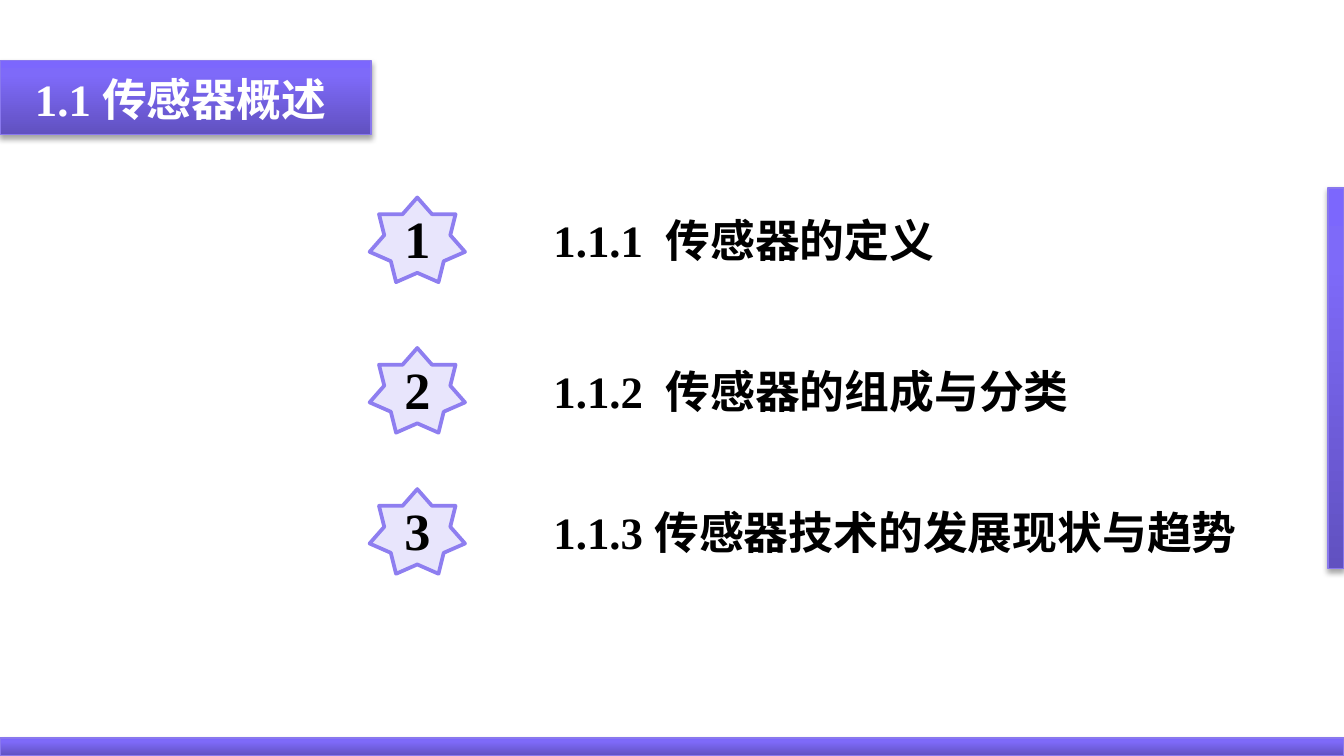
from dataclasses import dataclass

from pptx import Presentation
from pptx.dml.color import RGBColor
from pptx.enum.shapes import MSO_SHAPE as Preset
from pptx.enum.text import MSO_ANCHOR as Anchor, MSO_AUTO_SIZE as AutoSize, PP_ALIGN as Align
from pptx.oxml import parse_xml
from pptx.oxml.ns import nsdecls
from pptx.util import Inches, Pt

COLORS = {
    "dark": "6151C0", "mid": "7E6AF9", "light": "7C67FD", "bar_line": "8978ED",
    "star": "E8E5FC", "star_line": "8E7EF0", "text": "000000", "title": "FFFFFF",
    "shadow": "000000",
}
GRADIENT = {0: "dark", 80: "mid", 100: "light"}
FONT = "Times New Roman"
WIDTH, HEIGHT = Inches(10), Inches(5.625)
COLUMN, ROW = WIDTH / 100, HEIGHT / 100
STAR_LEFT, LABEL_LEFT, LABEL_DROP = 27.5, 40.2, 1.16
LABEL_HEIGHT = 8.89


@dataclass(frozen=True)
class Area:
    left: float
    top: float
    width: float
    height: float

    def emu(self) -> tuple:
        return (round(self.left * COLUMN), round(self.top * ROW),
                round(self.width * COLUMN), round(self.height * ROW))


@dataclass(frozen=True)
class Topic:
    label: str
    top: float
    label_width: float


BOTTOM_BAR = Area(0, 97.6, 100, 2.4)
SIDE_BAR = Area(98.8, 24.89, 1.2, 50.31)
TITLE_BANNER = Area(0, 8, 27.6, 9.78)
TITLE = Area(0.8, 8.53, 25.4, LABEL_HEIGHT)
TOPICS = (
    Topic("1.1.1  传感器的定义", 26.13, 31.6),
    Topic("1.1.2  传感器的组成与分类", 46.04, 40.7),
    Topic("1.1.3 传感器技术的发展现状与趋势", 64.71, 53.3),
)


def rgb(color: str) -> RGBColor:
    return RGBColor.from_string(COLORS[color])


def write(shape, text: str, size: float, color: str, align: Align, anchor: Anchor) -> None:
    frame = shape.text_frame
    frame.text = text
    frame.word_wrap = True
    frame.vertical_anchor = anchor
    paragraph = frame.paragraphs[0]
    paragraph.alignment = align
    font = paragraph.runs[0].font
    font.name, font.size, font.bold = FONT, Pt(size), True
    font.color.rgb = rgb(color)


def add_bar(slide, area: Area) -> None:
    bar = slide.shapes.add_shape(Preset.RECTANGLE, *area.emu())
    bar.line.color.rgb = rgb("bar_line")
    bar.line.width = Pt(0.75)
    stops = "".join(
        f'<a:gs pos="{share * 1000}"><a:srgbClr val="{COLORS[color]}"/></a:gs>'
        for share, color in GRADIENT.items()
    )
    properties = bar.element.spPr
    properties.insert(2, parse_xml(
        f'<a:gradFill {nsdecls("a")} rotWithShape="1"><a:gsLst>{stops}</a:gsLst>'
        '<a:lin ang="16200000" scaled="0"/></a:gradFill>'
    ))
    properties.append(parse_xml(
        f'<a:effectLst {nsdecls("a")}><a:outerShdw blurRad="{Pt(3.1)}" dist="{Pt(1.8)}" '
        f'dir="5400000" rotWithShape="0"><a:srgbClr val="{COLORS["shadow"]}">'
        '<a:alpha val="35000"/></a:srgbClr></a:outerShdw></a:effectLst>'
    ))


def add_topic(slide, number: int, topic: Topic) -> None:
    star = slide.shapes.add_shape(
        Preset.STAR_7_POINT, *Area(STAR_LEFT, topic.top, 7.1, 11.2).emu())
    star.shadow.inherit = False
    star.fill.solid()
    star.fill.fore_color.rgb = rgb("star")
    star.line.color.rgb = rgb("star_line")
    star.line.width = Pt(2)
    write(star, str(number), 28, "text", Align.CENTER, Anchor.MIDDLE)

    label_area = Area(LABEL_LEFT, topic.top + LABEL_DROP, topic.label_width, LABEL_HEIGHT)
    label = slide.shapes.add_textbox(*label_area.emu())
    write(label, topic.label, 24, "text", Align.LEFT, Anchor.TOP)
    label.text_frame.auto_size = AutoSize.SHAPE_TO_FIT_TEXT


def add_title(slide) -> None:
    add_bar(slide, TITLE_BANNER)
    title = slide.shapes.title
    title.left, title.top, title.width, title.height = TITLE.emu()
    write(title, "1.1 传感器概述", 24, "title", Align.LEFT, Anchor.TOP)
    title.text_frame.auto_size = AutoSize.NONE
    title.text_frame.margin_left = Inches(0.18)
    title.text_frame.margin_right = 0
    slide.shapes.element.append(title.element)


def main() -> None:
    deck = Presentation()
    deck.slide_width, deck.slide_height = WIDTH, HEIGHT
    slide = deck.slides.add_slide(deck.slide_layouts.get_by_name("Title Only"))
    for area in (BOTTOM_BAR, SIDE_BAR):
        add_bar(slide, area)
    add_title(slide)
    for number, topic in enumerate(TOPICS, start=1):
        add_topic(slide, number, topic)
    deck.save("out.pptx")


if __name__ == "__main__":
    main()
